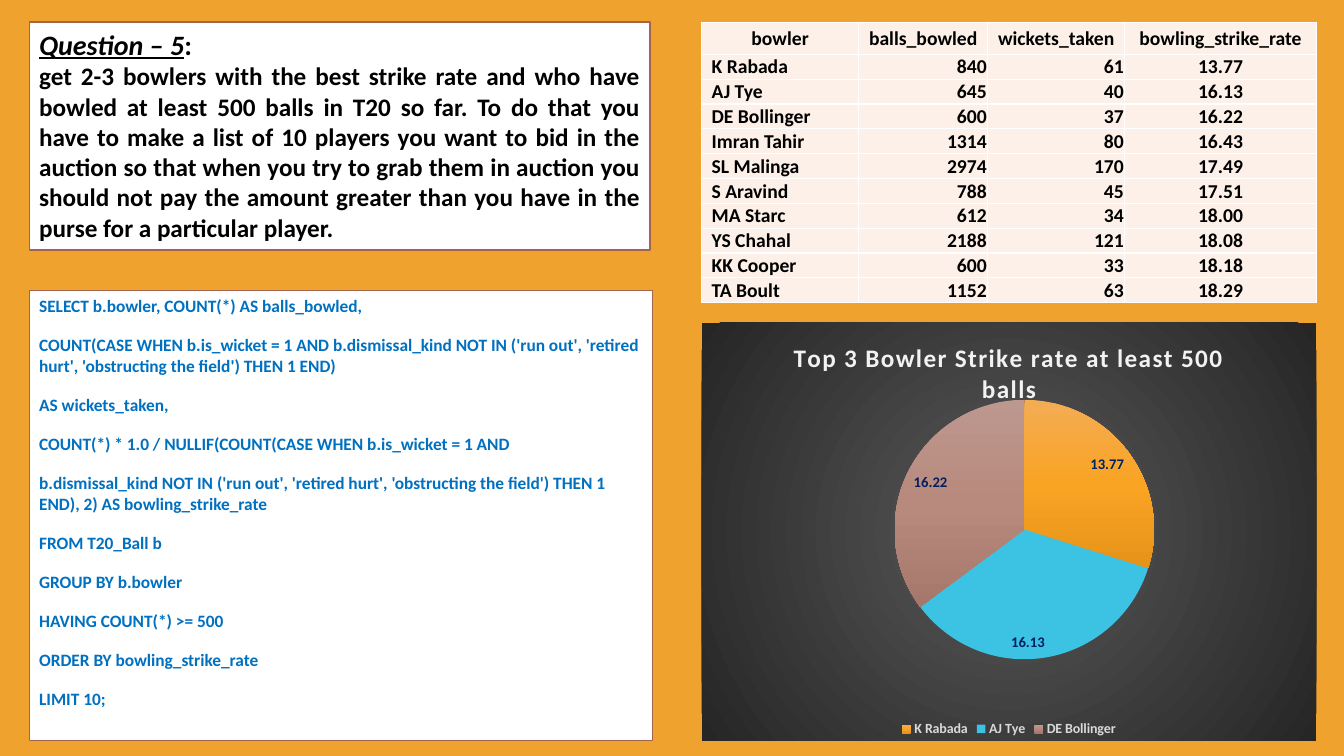
"""Build the Question 5 slide: brief, query, bowler table and pie chart."""
from lxml import etree
from pptx import Presentation
from pptx.chart.data import CategoryChartData
from pptx.dml.color import RGBColor
from pptx.enum import chart as kinds, shapes, text
from pptx.oxml import parse_xml
from pptx.util import Pt

HEAD = "Question – 5"
BRIEF = (
    "get 2-3 bowlers with the best strike rate and who have bowled at least 500 balls "
    "in T20 so far. To do that you have to make a list of 10 players you want to bid in "
    "the auction so that when you try to grab them in auction you should not pay the "
    "amount greater than you have in the purse for a particular player."
)
QUERY = [
    "SELECT b.bowler, COUNT(*) AS balls_bowled,",
    "COUNT(CASE WHEN b.is_wicket = 1 AND b.dismissal_kind NOT IN "
    "('run out', 'retired hurt', 'obstructing the field') THEN 1 END)",
    "AS wickets_taken,",
    "COUNT(*) * 1.0 / NULLIF(COUNT(CASE WHEN b.is_wicket = 1 AND",
    "b.dismissal_kind NOT IN ('run out', 'retired hurt', 'obstructing the field') "
    "THEN 1 END), 2) AS bowling_strike_rate",
    "FROM T20_Ball b",
    "GROUP BY b.bowler",
    "HAVING COUNT(*) >= 500",
    "ORDER BY bowling_strike_rate",
    "LIMIT 10;",
]
ROWS = [
    ("bowler", "balls_bowled", "wickets_taken", "bowling_strike_rate"),
    ("K Rabada", "840", "61", "13.77"),
    ("AJ Tye", "645", "40", "16.13"),
    ("DE Bollinger", "600", "37", "16.22"),
    ("Imran Tahir", "1314", "80", "16.43"),
    ("SL Malinga", "2974", "170", "17.49"),
    ("S Aravind", "788", "45", "17.51"),
    ("MA Starc", "612", "34", "18.00"),
    ("YS Chahal", "2188", "121", "18.08"),
    ("KK Cooper", "600", "33", "18.18"),
    ("TA Boult", "1152", "63", "18.29"),
]
TITLE = "Top 3 Bowler Strike rate at least 500 balls"
TOP = 3

HUES = {
    "back": "F0A22E", "white": "FFFFFF", "edge": "A5644E", "black": "000000",
    "query": "0070C0", "cell": "FCF0E8", "title": "F2F2F2", "key": "D9D9D9",
    "label": "002060",
}
DOWN = '<a:lin ang="5400000" scaled="0"/>'
ROUND = '<a:path path="circle"><a:fillToRect l="50000" t="50000" r="50000" b="50000"/></a:path>'
PANEL = ["595959", "262626"]
SLICES = [["F4AC55", "FAA424", "E59319"], ["3CC2E2"], ["BD988F", "B8897D", "A6786C"]]
PLOT = {"x": 0.314, "y": 0.147, "w": 0.422, "h": 0.696}

WIDE, HIGH = 960, 540
LEFT, RIGHT, EDGE = 20.9, 501.1, 15.8
SPAN = 439.2
COLS = [112.3, 92.2, 97.9, 136.8]
HEAD_H, ROW_H = 23, 17.4
CHART_Y, CHART_H = 230.4, 298.8
A_NS = 'xmlns:a="http://schemas.openxmlformats.org/drawingml/2006/main"'
C_NS = 'xmlns:c="http://schemas.openxmlformats.org/drawingml/2006/chart"'
ALIGN = text.PP_ALIGN


def rgb(name):
    return RGBColor.from_string(HUES[name])


def style(font, size, hue, **more):
    form = {"name": "Calibri", "size": Pt(size), "bold": True, **more}
    for key, value in form.items():
        setattr(font, key, value)
    font.color.rgb = rgb(hue)


def blend(hues, tail):
    last = len(hues) - 1
    stops = "".join(
        f'<a:gs pos="{100000 * i // last}"><a:srgbClr val="{hue}"/></a:gs>'
        for i, hue in enumerate(hues)
    )
    return f'<a:gradFill {A_NS} rotWithShape="1"><a:gsLst>{stops}</a:gsLst>{tail}</a:gradFill>'


def add_box(slide, top, wide, high):
    box = slide.shapes.add_shape(
        shapes.MSO_SHAPE.RECTANGLE, Pt(LEFT), Pt(top), Pt(wide), Pt(high))
    box.shadow.inherit = False
    box.fill.solid()
    box.fill.fore_color.rgb = rgb("white")
    box.line.color.rgb = rgb("edge")
    box.line.width = Pt(1)
    frame = box.text_frame
    frame.word_wrap = True
    frame.vertical_anchor = text.MSO_ANCHOR.TOP
    return frame


def add_line(frame, first, align, *runs):
    para = frame.paragraphs[0] if first else frame.add_paragraph()
    para.alignment = align
    for words, size, hue, more in runs:
        run = para.add_run()
        run.text = words
        style(run.font, size, hue, **more)
    return para


def add_brief(slide):
    frame = add_box(slide, EDGE, 443.5, 162.7)
    add_line(frame, True, ALIGN.JUSTIFY,
             (HEAD, 20, "black", {"italic": True, "underline": True}),
             (":", 20, "black", {}))
    add_line(frame, False, ALIGN.JUSTIFY, (BRIEF, 18, "black", {}))


def add_query(slide):
    frame = add_box(slide, 207.4, 445, 321.8)
    for i, words in enumerate(QUERY):
        para = add_line(frame, i == 0, ALIGN.LEFT, (words, 12.4, "query", {}))
        para.space_before = Pt(13)


def add_grid(slide):
    high = HEAD_H + ROW_H * (len(ROWS) - 1)
    grid = slide.shapes.add_table(
        len(ROWS), len(COLS), Pt(RIGHT), Pt(EDGE), Pt(SPAN), Pt(high)).table
    grid.first_row = grid.horz_banding = False
    for col, wide in zip(grid.columns, COLS):
        col.width = Pt(wide)
    sides = [ALIGN.LEFT, ALIGN.RIGHT, ALIGN.RIGHT, ALIGN.CENTER]
    for r, row in enumerate(ROWS):
        grid.rows[r].height = Pt(ROW_H if r else HEAD_H)
        for c, words in enumerate(row):
            cell = grid.cell(r, c)
            form = {
                "margin_left": Pt(7.2 if r and c == 0 else 0.7),
                "margin_right": Pt(0.7), "margin_top": Pt(0.7), "margin_bottom": Pt(0),
                "vertical_anchor": text.MSO_ANCHOR.BOTTOM if r else text.MSO_ANCHOR.MIDDLE,
            }
            for key, value in form.items():
                setattr(cell, key, value)
            cell.fill.solid()
            cell.fill.fore_color.rgb = rgb("cell")
            add_line(cell.text_frame, True, sides[c] if r else ALIGN.CENTER,
                     (words, 14, "black", {}))
            props = cell._tc.get_or_add_tcPr()
            for i, side in enumerate("LRTB"):
                props.insert(i, parse_xml(
                    f'<a:ln{side} {A_NS} w="12700"><a:solidFill>'
                    f'<a:srgbClr val="{HUES["white"]}"/></a:solidFill></a:ln{side}>'))


def add_pie(slide):
    best = ROWS[1:TOP + 1]
    data = CategoryChartData(number_format="0.00")
    data.categories = [row[0] for row in best]
    data.add_series("Series 1", [float(row[3]) for row in best])
    pie = slide.shapes.add_chart(
        kinds.XL_CHART_TYPE.PIE, Pt(RIGHT), Pt(CHART_Y), Pt(SPAN), Pt(CHART_H), data).chart
    style(pie.font, 10, "black", bold=False)

    pie.has_title = True
    frame = pie.chart_title.text_frame
    add_line(frame, True, ALIGN.CENTER, (TITLE, 18, "title", {}))
    frame.paragraphs[0].runs[0].font._element.set("spc", "100")
    pie.chart_title.include_in_layout = False

    pie.has_legend = True
    pie.legend.position = kinds.XL_LEGEND_POSITION.BOTTOM
    pie.legend.include_in_layout = False
    style(pie.legend.font, 10, "key")

    plot = pie.plots[0]
    plot.vary_by_categories = True
    plot.has_data_labels = True
    labels = plot.data_labels
    form = {"show_value": True, "show_percentage": False, "number_format": "0.00",
            "number_format_is_linked": False,
            "position": kinds.XL_LABEL_POSITION.INSIDE_END}
    for key, value in form.items():
        setattr(labels, key, value)
    style(labels.font, 10.5, "label")

    root = pie._chartSpace
    for i, hues in enumerate(SLICES):
        fill = plot.series[0].points[i].format.fill
        fill.solid()
        fill.fore_color.rgb = RGBColor.from_string(hues[0])
        if len(hues) > 1:
            shape = root.xpath(".//c:dPt/c:spPr")[i]
            shape.replace(shape[0], parse_xml(blend(hues, DOWN)))

    area = root.xpath(".//c:plotArea")[0]
    for old in area.xpath("c:layout"):
        area.remove(old)
    spots = "".join(f'<c:{key} val="{value}"/>' for key, value in PLOT.items())
    area.insert(0, parse_xml(
        f'<c:layout {C_NS}><c:manualLayout><c:layoutTarget val="inner"/>'
        f'<c:xMode val="edge"/><c:yMode val="edge"/>{spots}</c:manualLayout></c:layout>'))
    root.xpath("c:chart")[0].addnext(etree.fromstring(
        f'<c:spPr {C_NS} {A_NS}>{blend(PANEL, ROUND)}<a:ln><a:noFill/></a:ln></c:spPr>'))


def main():
    deck = Presentation()
    deck.slide_width, deck.slide_height = Pt(WIDE), Pt(HIGH)
    slide = deck.slides.add_slide(deck.slide_layouts[6])
    slide.background.fill.solid()
    slide.background.fill.fore_color.rgb = rgb("back")
    for add in (add_query, add_brief, add_grid, add_pie):
        add(slide)
    deck.save("out.pptx")


if __name__ == "__main__":
    main()
